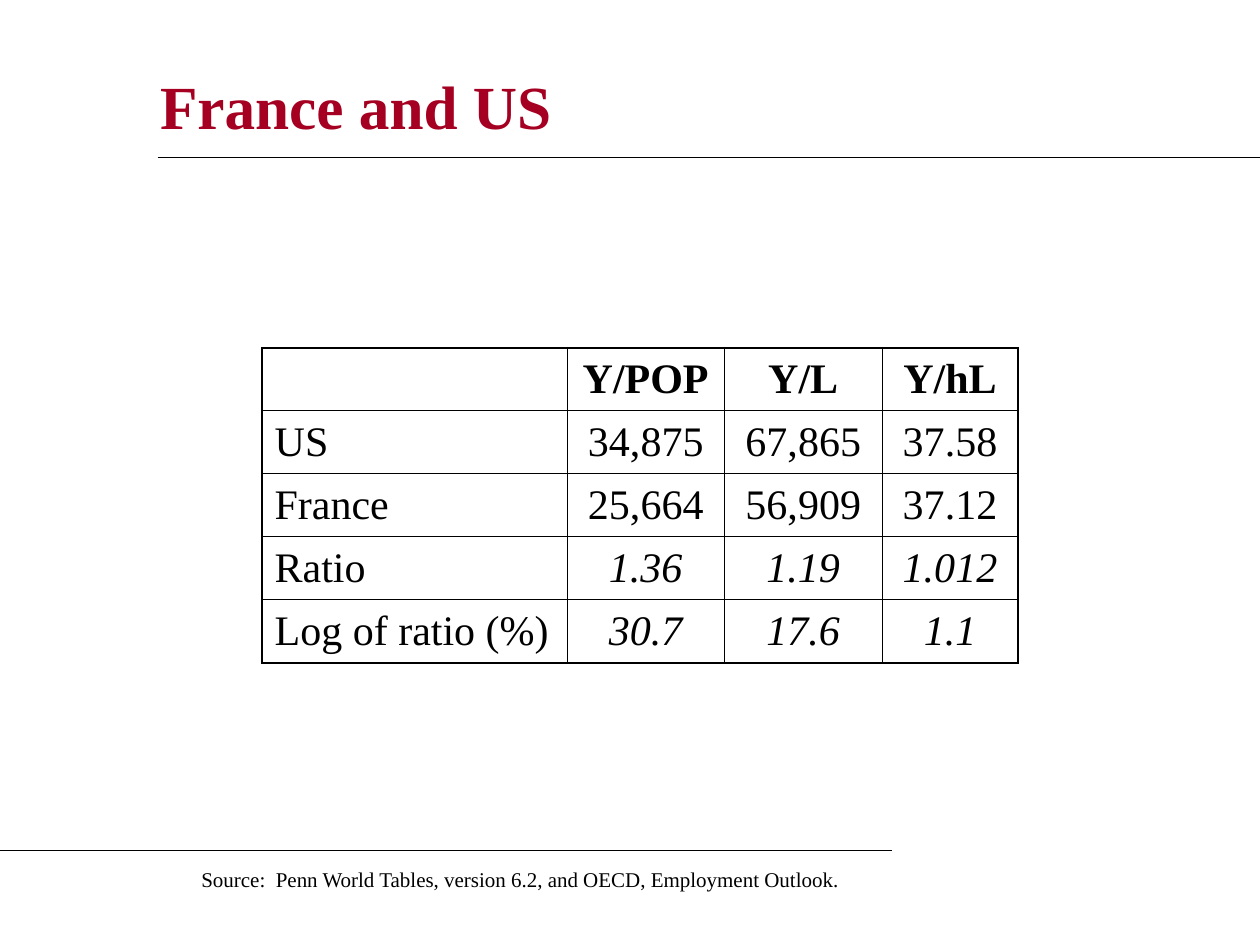
from lxml import etree
from pptx import Presentation
from pptx.dml.color import RGBColor
from pptx.enum.shapes import MSO_CONNECTOR
from pptx.enum.text import MSO_ANCHOR, PP_ALIGN
from pptx.oxml.ns import qn
from pptx.util import Inches, Pt

STRAIGHT = MSO_CONNECTOR.STRAIGHT
MIDDLE = MSO_ANCHOR.MIDDLE
LEFT, CENTER = PP_ALIGN.LEFT, PP_ALIGN.CENTER
FONT = "Times New Roman"
BLACK, RED = "000000", "A50021"
OUTER_WIDTH, INNER_WIDTH = Pt(1.08), Pt(0.45)


def format_paragraph(paragraph, size, color=BLACK, bold=False, italic=False, align=LEFT):
    paragraph.alignment = align
    for run in paragraph.runs:
        run.font.name = FONT
        run.font.size = Pt(size)
        run.font.bold = bold
        run.font.italic = italic
        run.font.color.rgb = RGBColor.from_string(color)


def add_border(cell, side, width):
    properties = cell._tc.get_or_add_tcPr()
    line = etree.SubElement(properties, qn(f"a:ln{side}"), w=str(int(width)))
    fill = etree.SubElement(line, qn("a:solidFill"))
    etree.SubElement(fill, qn("a:srgbClr"), val=BLACK)


presentation = Presentation()
presentation.slide_width = Inches(10)
presentation.slide_height = Inches(7.5)
slide = presentation.slides.add_slide(presentation.slide_layouts[5])

# Title
title = slide.shapes.title
title.left, title.top = Inches(1.17), Inches(0.42)
title.width, title.height = Inches(8.25), Inches(0.83)
title.text_frame.text = "France and US"
title.text_frame.vertical_anchor = MIDDLE
format_paragraph(title.text_frame.paragraphs[0], 35, RED, bold=True)

# Rules below the title and above the source
for start, end, top in [(1.25, 10, 1.25), (0, 7.08, 6.75)]:
    rule = slide.shapes.add_connector(
        STRAIGHT, Inches(start), Inches(top), Inches(end), Inches(top))
    rule.line.width = Pt(0.75)
    rule.line.color.rgb = RGBColor.from_string(BLACK)
    etree.SubElement(rule._element.spPr, qn("a:effectLst"))

# Output table
rows = [
    ["", "Y/POP", "Y/L", "Y/hL"],
    ["US", "34,875", "67,865", "37.58"],
    ["France", "25,664", "56,909", "37.12"],
    ["Ratio", "1.36", "1.19", "1.012"],
    ["Log of ratio (%)", "30.7", "17.6", "1.1"],
]
column_widths = [2.42, 1.25, 1.25, 1.08]
last_row, last_column = len(rows) - 1, len(column_widths) - 1
table = slide.shapes.add_table(
    len(rows), len(column_widths), Inches(2.08), Inches(2.76), Inches(6), Inches(2.5)).table
table.first_row = False
table.horz_banding = False
for column, width in zip(table.columns, column_widths):
    column.width = Inches(width)

for row_index, row in enumerate(rows):
    for column_index, text in enumerate(row):
        cell = table.cell(row_index, column_index)
        cell.text_frame.text = text
        cell.vertical_anchor = MIDDLE
        format_paragraph(
            cell.text_frame.paragraphs[0], 24,
            bold=row_index == 0,
            italic=row_index >= 3 and column_index > 0,
            align=CENTER if column_index else LEFT)
        outer_sides = {
            "L": column_index == 0,
            "R": column_index == last_column,
            "T": row_index == 0,
            "B": row_index == last_row,
        }
        for side, is_outer in outer_sides.items():
            add_border(cell, side, OUTER_WIDTH if is_outer else INNER_WIDTH)
        cell.fill.background()

# Source
source = slide.shapes.add_textbox(Inches(1.5), Inches(6.83), Inches(6.17), Inches(0.3))
source.text_frame.word_wrap = True
source.text_frame.text = "Source:  Penn World Tables, version 6.2, and OECD, Employment Outlook."
format_paragraph(source.text_frame.paragraphs[0], 12)

presentation.save("out.pptx")
